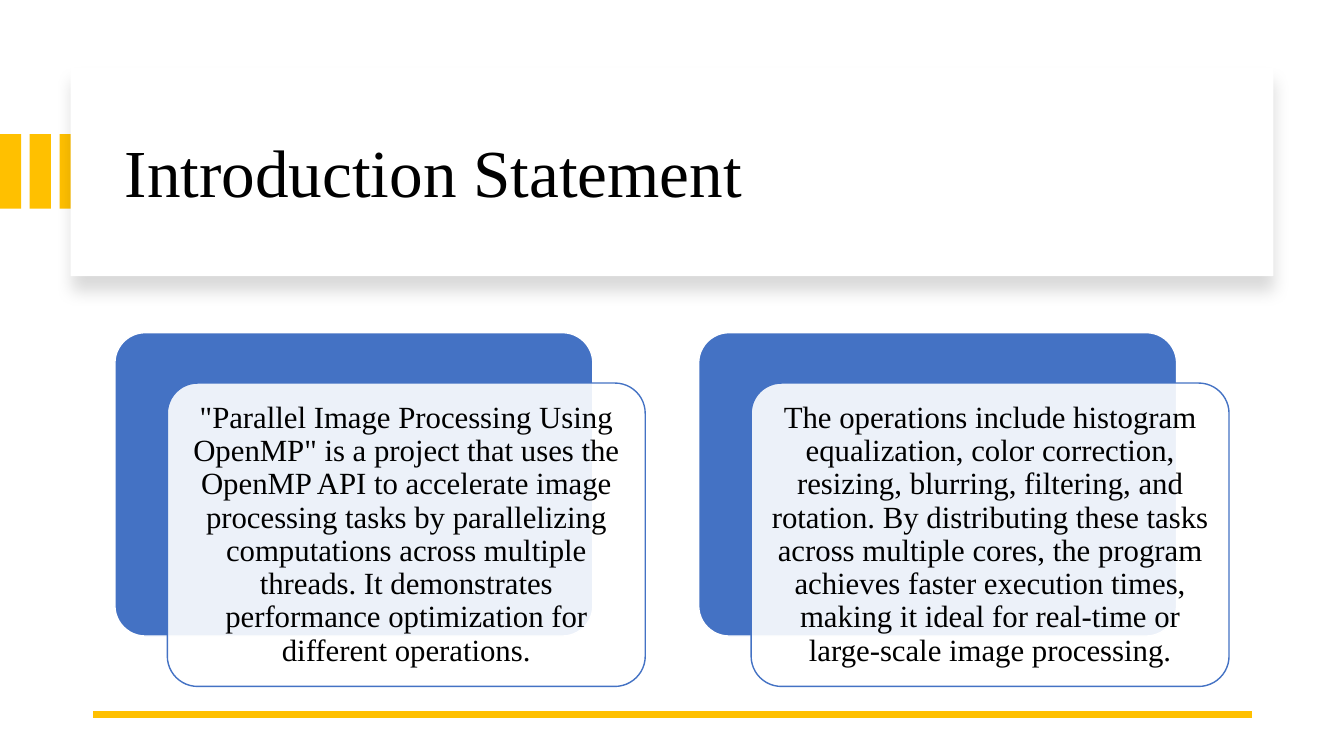
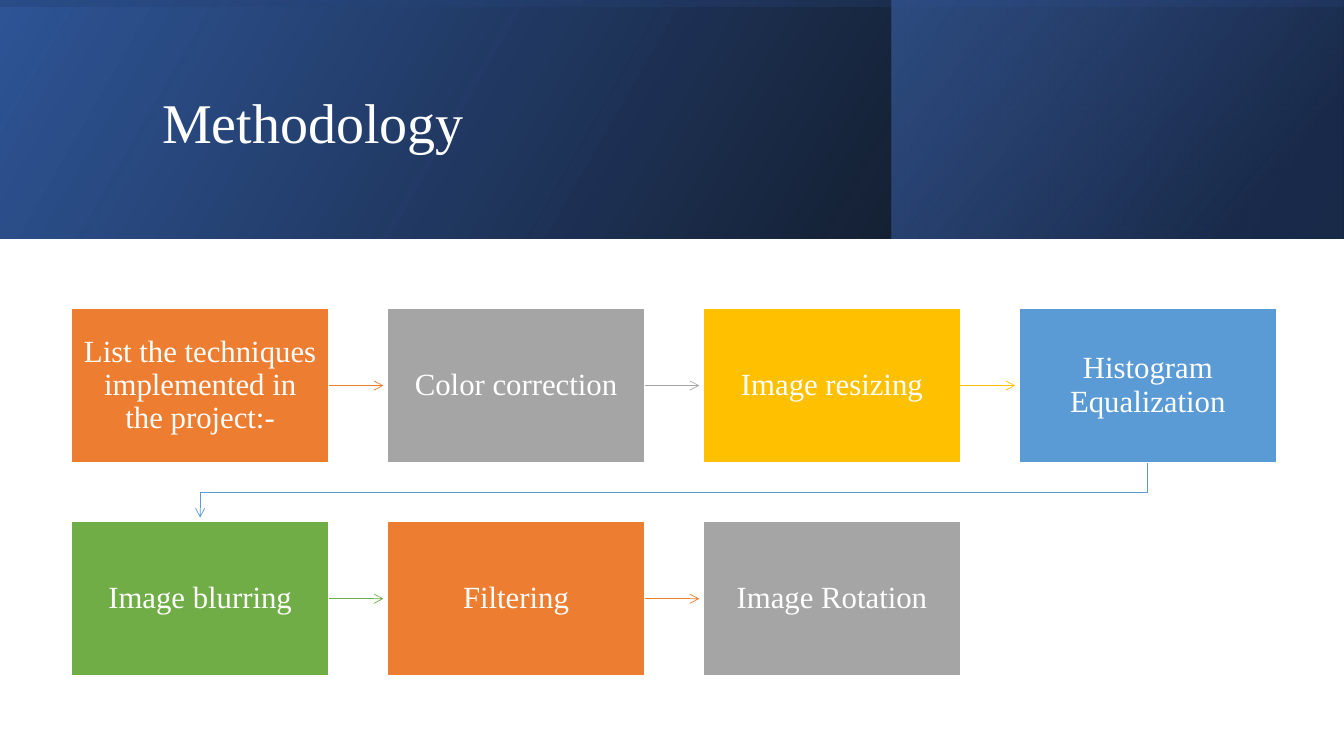
from dataclasses import dataclass
from typing import NamedTuple

from pptx import Presentation
from pptx.dml.color import RGBColor
from pptx.enum.shapes import MSO_CONNECTOR, MSO_SHAPE
from pptx.enum.text import MSO_ANCHOR, PP_ALIGN
from pptx.oxml import parse_xml
from pptx.oxml.ns import nsdecls, qn
from pptx.util import Inches, Pt

SLIDE_WIDTH, SLIDE_HEIGHT = 13.33, 7.5
TOP, LEFT, BOTTOM, RIGHT = range(4)


@dataclass(frozen=True)
class Theme:
    font: str = "Times New Roman"
    white: str = "FFFFFF"
    black: str = "000000"
    blue: str = "4472C4"
    deep_blue: str = "2F5597"
    navy: str = "203864"
    sky: str = "5B9BD5"
    gold: str = "FFC000"
    orange: str = "ED7D31"
    gray: str = "A5A5A5"
    green: str = "70AD47"
    title_size: int = 48
    band_title_size: int = 40
    body_size: int = 22
    outline: float = 1
    arrow: float = 0.5
    rule: float = 4.5


THEME = Theme()


class Area(NamedTuple):
    """A rectangle in inches."""
    left: float
    top: float
    width: float
    height: float

    def moved(self, right: float, down: float) -> "Area":
        return self._replace(left=self.left + right, top=self.top + down)


@dataclass(frozen=True)
class Grid:
    first: Area
    column_pitch: float
    row_pitch: float = 0

    def cell(self, column: int, row: int = 0) -> Area:
        return self.first.moved(column * self.column_pitch, row * self.row_pitch)


class Stop(NamedTuple):
    position: int
    color: str
    opacity: int = 100


class Gradient(NamedTuple):
    area: Area
    angle: int
    stops: tuple[Stop, ...]
    rotation: int = 0


class Step(NamedTuple):
    text: str
    color: str


STRIPES = Grid(Area(0, 1.33, 0.21, 0.74), 0.295)
PANEL = Area(0.7, 0.67, 11.93, 2.07)
CARDS = Grid(Area(1.14, 3.3, 4.74, 3.01), 5.79)
CARD_SHIFT = (0.52, 0.5)
CARD_TEXTS = (
    '"Parallel Image Processing Using OpenMP" is a project that uses the OpenMP API '
    "to accelerate image processing tasks by parallelizing computations across "
    "multiple threads. It demonstrates performance optimization for different "
    "operations.",
    "The operations include histogram equalization, color correction, resizing, "
    "blurring, filtering, and rotation. By distributing these tasks across multiple "
    "cores, the program achieves faster execution times, making it ideal for "
    "real-time or large-scale image processing.",
)

BAND_HEIGHT = 2.37
BAND = Area(0, 0, SLIDE_WIDTH, BAND_HEIGHT)
BAND_TURNED = Area((SLIDE_WIDTH - BAND_HEIGHT) / 2, (BAND_HEIGHT - SLIDE_WIDTH) / 2,
                   BAND_HEIGHT, SLIDE_WIDTH)
BAND_LAYERS = (
    Gradient(BAND, 330, (Stop(0, THEME.black, 96), Stop(100, THEME.deep_blue))),
    Gradient(Area(8.84, 0, 4.48, BAND_HEIGHT), 320,
             (Stop(19, THEME.navy, 68), Stop(100, THEME.blue, 48))),
    Gradient(BAND_TURNED, 350,
             (Stop(23, THEME.deep_blue, 16), Stop(99, THEME.black, 45)), 270),
)

STEP_COLUMNS = 4
STEPS_GRID = Grid(Area(0.71, 3.06, 2.55, 1.53), 3.133, 2.115)
ARROW_GAP = 0.04
STEPS = (
    Step("List the techniques implemented in the project:-", THEME.orange),
    Step("Color correction", THEME.gray),
    Step("Image resizing", THEME.gold),
    Step("Histogram Equalization", THEME.sky),
    Step("Image blurring", THEME.green),
    Step("Filtering", THEME.orange),
    Step("Image Rotation", THEME.gray),
)


def rgb(color: str) -> RGBColor:
    return RGBColor.from_string(color)


def inches(*lengths: float) -> list[int]:
    return [Inches(length) for length in lengths]


def write(shape, text: str, *, size: float, color: str, align=PP_ALIGN.LEFT,
          margins: tuple[float, float] = (0.1, 0.05)) -> None:
    """Put one vertically centred paragraph into a shape; margins are side, top."""
    frame = shape.text_frame
    frame.word_wrap = True
    frame.vertical_anchor = MSO_ANCHOR.MIDDLE
    frame.margin_left = frame.margin_right = Inches(margins[0])
    frame.margin_top = frame.margin_bottom = Inches(margins[1])
    para = frame.paragraphs[0]
    para.alignment = align
    para.line_spacing = 0.9
    span = para.add_run()
    span.text = text
    span.font.name = THEME.font
    span.font.size = Pt(size)
    span.font.color.rgb = rgb(color)


def add_title(page, text: str, area: Area, size: float, color: str) -> None:
    write(page.shapes.add_textbox(*inches(*area)), text, size=size, color=color)


def add_box(page, area: Area, fill: str | None = None, *, line: str | None = None,
            kind=MSO_SHAPE.RECTANGLE, opacity: int = 100):
    box = page.shapes.add_shape(kind, *inches(*area))
    box.shadow.inherit = False
    if fill is None:
        box.fill.background()
    else:
        box.fill.solid()
        box.fill.fore_color.rgb = rgb(fill)
    if opacity < 100:
        color = box._element.spPr.find(qn("a:solidFill"))[0]
        color.append(alpha(opacity))
    if line is None:
        box.line.fill.background()
    else:
        box.line.color.rgb = rgb(line)
        box.line.width = Pt(THEME.outline)
    if kind == MSO_SHAPE.ROUNDED_RECTANGLE:
        box.adjustments[0] = 0.1
    return box


def alpha(opacity: int):
    return parse_xml(f'<a:alpha {nsdecls("a")} val="{opacity * 1000}"/>')


def add_shadow(box) -> None:
    """Give a box a soft shadow straight below it."""
    effects = box._element.spPr.find(qn("a:effectLst"))
    effects.append(parse_xml(
        f'<a:outerShdw {nsdecls("a")} blurRad="{Pt(11)}" dist="{Pt(10)}" dir="5400000" '
        f'algn="t" rotWithShape="0"><a:srgbClr val="{THEME.black}">'
        '<a:alpha val="15000"/></a:srgbClr></a:outerShdw>'))


def add_gradient(page, layer: Gradient) -> None:
    """Draw a rectangle, mirrored left to right, with a linear gradient."""
    box = add_box(page, layer.area)
    box.rotation = layer.rotation
    properties = box._element.spPr
    properties.find(qn("a:xfrm")).set("flipH", "1")
    stops = "".join(
        f'<a:gs pos="{stop.position * 1000}"><a:srgbClr val="{stop.color}">'
        f'<a:alpha val="{stop.opacity * 1000}"/></a:srgbClr></a:gs>'
        for stop in layer.stops)
    properties.replace(properties.find(qn("a:noFill")), parse_xml(
        f'<a:gradFill {nsdecls("a")}><a:gsLst>{stops}</a:gsLst>'
        f'<a:lin ang="{layer.angle * 60000}" scaled="0"/></a:gradFill>'))


def style_line(line, color: str, width: float, arrow: bool = False) -> None:
    line.color.rgb = rgb(color)
    line.width = Pt(width)
    if arrow:
        line._get_or_add_ln().append(
            parse_xml(f'<a:tailEnd {nsdecls("a")} type="arrow"/>'))


def add_line(page, start: tuple[float, float], end: tuple[float, float]):
    connector = page.shapes.add_connector(
        MSO_CONNECTOR.STRAIGHT, *inches(*start, *end))
    connector._element.spPr.append(parse_xml(f'<a:effectLst {nsdecls("a")}/>'))
    return connector


def add_row_arrow(page, box, area: Area, color: str) -> None:
    """Point from a step to the next one in its row."""
    middle = area.top + area.height / 2
    arrow = add_line(page, (area.left + area.width, middle),
                     (area.left + STEPS_GRID.column_pitch - ARROW_GAP, middle))
    arrow.begin_connect(box, RIGHT)
    style_line(arrow.line, color, THEME.arrow, arrow=True)


def add_return_arrow(page, area: Area, target: Area, color: str) -> None:
    """Lead from the end of one row to the start of the next."""
    start_x = area.left + area.width / 2
    end_x = target.left + target.width / 2
    bottom = area.top + area.height
    turn = (bottom + target.top) / 2
    points = [(start_x, bottom), (start_x, turn), (end_x, turn),
              (end_x, target.top - ARROW_GAP)]
    first, *rest = [tuple(inches(*point)) for point in points]
    builder = page.shapes.build_freeform(*first)
    builder.add_line_segments(rest, close=False)
    arrow = builder.convert_to_shape()
    arrow.shadow.inherit = False
    arrow.fill.background()
    style_line(arrow.line, color, THEME.arrow, arrow=True)


def add_card(page, area: Area, text: str) -> None:
    rounded = MSO_SHAPE.ROUNDED_RECTANGLE
    add_box(page, area, THEME.blue, line=THEME.white, kind=rounded)
    front = add_box(page, area.moved(*CARD_SHIFT), THEME.white, line=THEME.blue,
                    kind=rounded, opacity=90)
    write(front, text, size=THEME.body_size, color=THEME.black,
          align=PP_ALIGN.CENTER, margins=(0.09, 0.09))


def build_introduction(page) -> None:
    for column in range(3):
        add_box(page, STRIPES.cell(column), THEME.gold)
    add_shadow(add_box(page, PANEL, THEME.white))
    add_title(page, "Introduction Statement", Area(1.14, 0.89, 11.13, 1.7),
              THEME.title_size, THEME.black)
    rule = add_line(page, (12.42, 7.09), (0.92, 7.09))
    style_line(rule.line, THEME.gold, THEME.rule)
    for column, text in enumerate(CARD_TEXTS):
        add_card(page, CARDS.cell(column), text)


def build_methodology(page) -> None:
    for layer in BAND_LAYERS:
        add_gradient(page, layer)
    add_title(page, "Methodology", Area(1.51, 0.38, 10.63, 1.72),
              THEME.band_title_size, THEME.white)
    for index, step in enumerate(STEPS):
        row, column = divmod(index, STEP_COLUMNS)
        area = STEPS_GRID.cell(column, row)
        box = add_box(page, area, step.color, line=THEME.white)
        write(box, step.text, size=THEME.body_size, color=THEME.white,
              align=PP_ALIGN.CENTER, margins=(0.12, 0.13))
        if index == len(STEPS) - 1:
            continue
        if column == STEP_COLUMNS - 1:
            add_return_arrow(page, area, STEPS_GRID.cell(0, row + 1), step.color)
        else:
            add_row_arrow(page, box, area, step.color)


def main() -> None:
    deck = Presentation()
    deck.slide_width, deck.slide_height = inches(SLIDE_WIDTH, SLIDE_HEIGHT)
    blank = deck.slide_layouts[6]
    for build in (build_introduction, build_methodology):
        build(deck.slides.add_slide(blank))
    deck.save("out.pptx")


if __name__ == "__main__":
    main()
